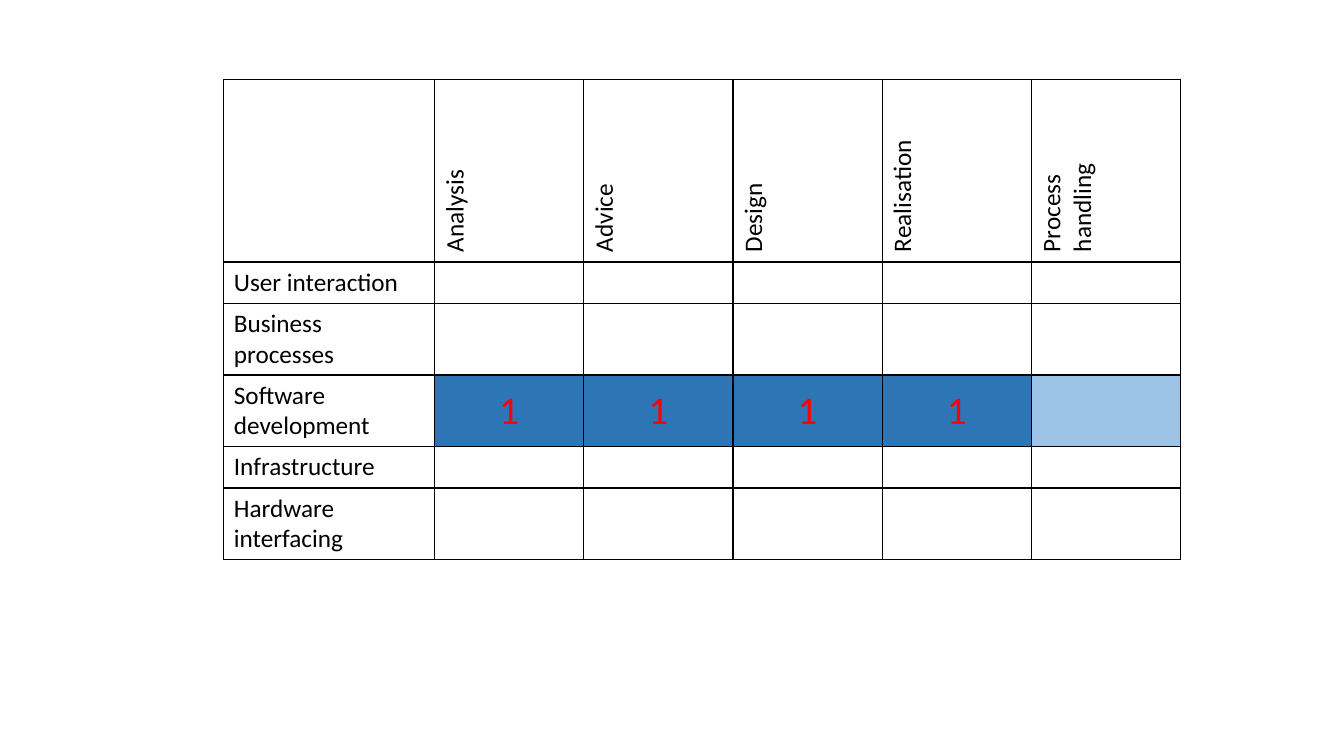
"""Build a slide with a matrix of competence areas against activities."""
from dataclasses import dataclass

from lxml.etree import SubElement
from pptx import Presentation
from pptx.dml.color import RGBColor
from pptx.enum.text import MSO_ANCHOR, PP_ALIGN
from pptx.oxml.ns import qn
from pptx.util import Inches, Pt


@dataclass(frozen=True)
class Theme:
    font: str = "Calibri"
    ink: str = "000000"
    mark: str = "FF0000"
    strong: str = "2E75B6"
    light: str = "9DC3E6"
    body: int = 18
    level: int = 28
    border: int = 1


def add_borders(cell, color, width):
    tcPr = cell._tc.get_or_add_tcPr()
    for side in ("a:lnL", "a:lnR", "a:lnT", "a:lnB"):
        ln = SubElement(tcPr, qn(side), w=str(Pt(width)))
        SubElement(SubElement(ln, qn("a:solidFill")), qn("a:srgbClr"), val=color)


def set_text(cell, text, size, color):
    cell.text_frame.text = text
    p = cell.text_frame.paragraphs[0]
    for font in (p.font, *(r.font for r in p.runs)):
        font.name = theme.font
        font.size = Pt(size)
        font.color.rgb = RGBColor.from_string(color)
    return p


theme = Theme()
activities = ["Analysis", "Advice", "Design", "Realisation", "Process handling"]
areas = {
    "User interaction": 1,
    "Business processes": 2,
    "Software development": 2,
    "Infrastructure": 1,
    "Hardware interfacing": 2,
}
levels = {"Software development": ["1", "1", "1", "1", ""]}
line_heights = {1: 0.41, 2: 0.71}
widths = [2.09] + [1.48] * len(activities)
heights = [1.81] + [line_heights[lines] for lines in areas.values()]

prs = Presentation()
prs.slide_width, prs.slide_height = Inches(13.33), Inches(7.5)
s = prs.slides.add_slide(prs.slide_layouts[6])
table = s.shapes.add_table(
    len(heights), len(widths), Inches(2.22), Inches(0.79),
    Inches(sum(widths)), Inches(sum(heights)),
).table
table.first_row = table.horz_banding = False
for column, width in zip(table.columns, widths):
    column.width = Inches(width)
for row, height in zip(table.rows, heights):
    row.height = Inches(height)

blank = [""] * len(activities)
rows = [["", *activities]] + [[area, *levels.get(area, blank)] for area in areas]
for i, texts in enumerate(rows):
    for j, text in enumerate(texts):
        cell = table.cell(i, j)
        add_borders(cell, theme.ink, theme.border)
        cell.fill.background()
        if j and texts[0] in levels:
            cell.fill.solid()
            fill = theme.strong if text else theme.light
            cell.fill.fore_color.rgb = RGBColor.from_string(fill)
            cell.vertical_anchor = MSO_ANCHOR.MIDDLE
            p = set_text(cell, text, theme.level, theme.mark)
            p.alignment = PP_ALIGN.CENTER
        else:
            set_text(cell, text, theme.body, theme.ink)
        if i == 0 and j:
            cell._tc.get_or_add_tcPr().set("vert", "vert270")

prs.save("out.pptx")
